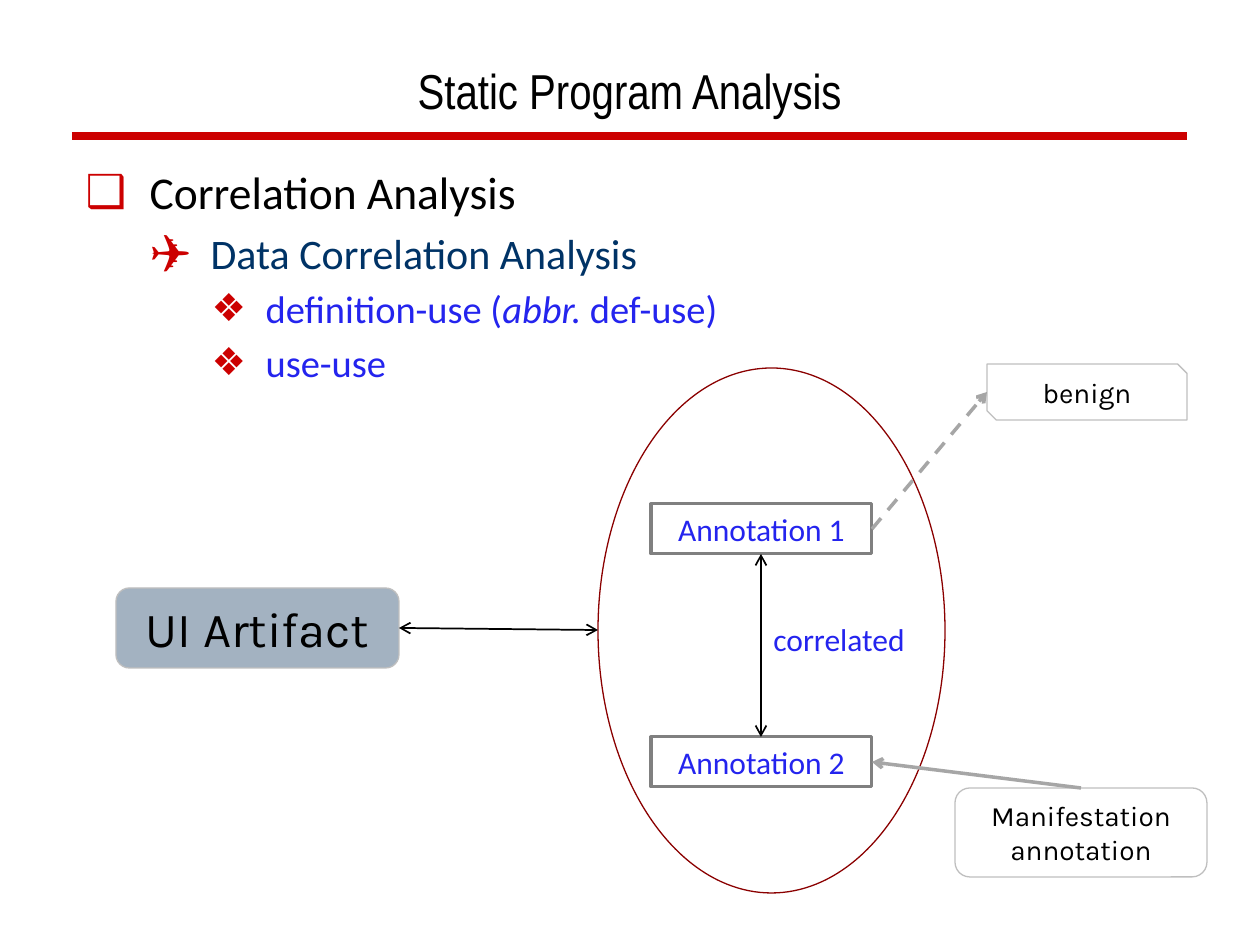
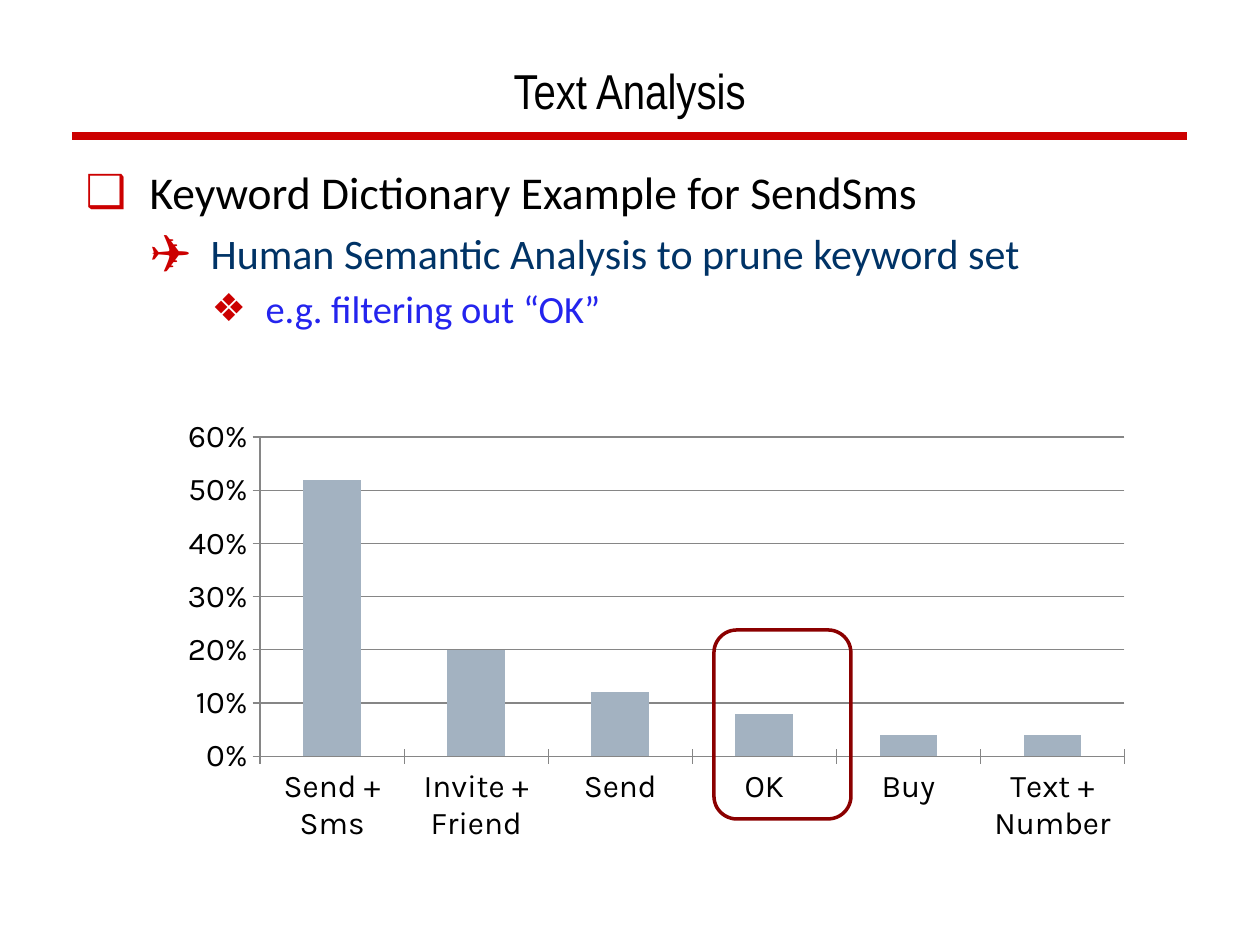
from dataclasses import dataclass

from lxml.etree import SubElement
from pptx import Presentation
from pptx.chart.data import CategoryChartData
from pptx.dml.color import RGBColor
from pptx.enum.chart import XL_CHART_TYPE, XL_TICK_MARK
from pptx.enum.dml import MSO_LINE
from pptx.enum.shapes import MSO_CONNECTOR, MSO_SHAPE
from pptx.enum.text import MSO_ANCHOR, MSO_AUTO_SIZE, PP_ALIGN
from pptx.oxml.ns import qn
from pptx.util import Emu, Pt

SCALE = 914400 / 126


@dataclass(frozen=True)
class Theme:
    """Colours, fonts, type sizes and list levels of the deck."""

    black: str = "000000"
    red: str = "CC0000"
    dark_red: str = "8B0000"
    blue: str = "2424EE"
    steel: str = "A3B2C1"
    border: str = "BFBFBF"
    frame: str = "808080"
    grey: str = "A6A6A6"
    grid: str = "868686"
    title_font: str = "Arial Narrow"
    body_font: str = "Calibri"
    label_font: str = "Karla"
    large: int = 28
    medium: int = 18
    small: int = 16
    tiny: int = 10
    levels: tuple = (
        ("\u2751", 64, 64, 26, "000000"),
        ("\u2708", 125, 60, 24, "003366"),
        ("\u2756", 180, 54, 22, "2424EE"),
    )


def px(length):
    """Turn whole pixels into EMU."""
    return Emu(round(length * SCALE))


def assign(target, values):
    """Set each named attribute of the target."""
    for name, value in values.items():
        setattr(target, name, value)


class SlideBuilder:
    """Holds the style and the current slide."""

    def __init__(self, deck, theme):
        """Keep the deck, its content layout and the theme."""
        self.deck = deck
        self.theme = theme
        self.layout = deck.slide_layouts[1]
        self.slide = None

    def start(self, title):
        """Add a slide and fill its title."""
        self.slide = self.deck.slides.add_slide(self.layout)
        holder = self.slide.shapes.title
        self.place(holder, 73, 21, 1113, 105)
        self.letter(holder.text_frame, title, self.theme.title_font,
                    self.theme.large, self.theme.black, anchor=MSO_ANCHOR.BOTTOM)
        holder.text_frame.auto_size = MSO_AUTO_SIZE.NONE

    def share_rule(self):
        """Draw the title rule and hand it to the layout."""
        rule = self.link((72, 136), (1187, 136), self.theme.red, 4.5)
        self.layout.shapes.element.append(rule.element)

    def place(self, shape, left, top, width, height):
        """Move and size a shape in pixels."""
        assign(shape, {"left": px(left), "top": px(top),
                       "width": px(width), "height": px(height)})

    def span(self, para, text, font, size, color, italic=None):
        """Add a formatted span to a paragraph."""
        span = para.add_run()
        span.text = text
        assign(span.font, {"name": font, "size": Pt(size), "italic": italic})
        span.font.color.rgb = RGBColor.from_string(color)

    def letter(self, frame, text, font, size, color,
               align=PP_ALIGN.CENTER, anchor=MSO_ANCHOR.MIDDLE):
        """Put one paragraph into a text frame."""
        assign(frame, {"word_wrap": True, "vertical_anchor": anchor,
                       "auto_size": MSO_AUTO_SIZE.SHAPE_TO_FIT_TEXT})
        para = frame.paragraphs[0]
        para.alignment = align
        self.span(para, text, font, size, color)

    def bullets(self, height, items):
        """Fill the body placeholder with levelled items."""
        holder = self.slide.placeholders[1]
        self.place(holder, 73, 158, 1113, height)
        frame = holder.text_frame
        frame.auto_size = MSO_AUTO_SIZE.NONE
        for index, (level, *pieces) in enumerate(items):
            para = frame.add_paragraph() if index else frame.paragraphs[0]
            para.level = level
            mark, margin, hang, size, color = self.theme.levels[level]
            for text, italic in pieces:
                self.span(para, text, self.theme.body_font, size, color, italic)
            properties = para._p.get_or_add_pPr()
            properties.set("marL", str(px(margin)))
            properties.set("indent", str(-px(hang)))
            paint = SubElement(properties, qn("a:buClr"))
            SubElement(paint, qn("a:srgbClr"), val=self.theme.red)
            SubElement(properties, qn("a:buChar"), char=mark)

    def box(self, kind, area, line, weight, fill=None):
        """Add a preset shape with an outline."""
        box = self.slide.shapes.add_shape(kind, *map(px, area))
        box.shadow.inherit = False
        if fill:
            box.fill.solid()
            box.fill.fore_color.rgb = RGBColor.from_string(fill)
        else:
            box.fill.background()
        box.line.color.rgb = RGBColor.from_string(line)
        box.line.width = Pt(weight)
        return box

    def label(self, kind, area, text, size, fill=None):
        """Add a light bordered shape with a centred label."""
        box = self.box(kind, area, self.theme.border, 0.75, fill)
        self.letter(box.text_frame, text, self.theme.label_font, size, self.theme.black)

    def annotation(self, top, text):
        """Add a framed annotation."""
        box = self.box(MSO_SHAPE.RECTANGLE, (651, top, 221, 50), self.theme.frame, 1.75)
        self.letter(box.text_frame, text, self.theme.body_font,
                    self.theme.medium, self.theme.blue, anchor=MSO_ANCHOR.TOP)

    def note(self, area, text):
        """Add a free text box."""
        box = self.slide.shapes.add_textbox(*map(px, area))
        self.letter(box.text_frame, text, self.theme.body_font,
                    self.theme.medium, self.theme.blue, PP_ALIGN.LEFT, MSO_ANCHOR.TOP)

    def link(self, start, end, color, weight, heads=(), dash=None):
        """Add a straight line with optional arrowheads."""
        line = self.slide.shapes.add_connector(
            MSO_CONNECTOR.STRAIGHT, *map(px, (*start, *end)))
        line.line.color.rgb = RGBColor.from_string(color)
        assign(line.line, {"width": Pt(weight), "dash_style": dash})
        properties = line.element.spPr
        for head in heads:
            SubElement(properties.get_or_add_ln(), qn(f"a:{head}"), type="arrow")
        SubElement(properties, qn("a:effectLst"))
        return line

    def columns(self, area, names, values):
        """Add a percentage column chart."""
        data = CategoryChartData(number_format="0%")
        data.categories = names
        data.add_series("Series 1", values)
        chart = self.slide.shapes.add_chart(
            XL_CHART_TYPE.COLUMN_CLUSTERED, *map(px, area), data).chart
        assign(chart, {"has_title": False, "has_legend": False})
        assign(chart.font, {"name": self.theme.label_font, "size": Pt(self.theme.tiny)})
        chart.font.color.rgb = RGBColor.from_string(self.theme.black)
        plot = chart.plots[0]
        assign(plot, {"vary_by_categories": False, "gap_width": 150})
        fill = plot.series[0].format.fill
        fill.solid()
        fill.fore_color.rgb = RGBColor.from_string(self.theme.steel)
        scale = chart.value_axis
        assign(scale, {"minimum_scale": 0, "maximum_scale": 0.6, "major_unit": 0.1,
                       "has_major_gridlines": True})
        assign(scale.tick_labels, {"number_format": "0%", "number_format_is_linked": False})
        for axis in (chart.category_axis, scale):
            axis.major_tick_mark = XL_TICK_MARK.CROSS
            axis.tick_labels.font.size = Pt(self.theme.medium)
        for part in (chart.category_axis, scale, scale.major_gridlines):
            part.format.line.color.rgb = RGBColor.from_string(self.theme.grid)
            part.format.line.width = Pt(0.75)


def correlation_slide(page, theme):
    """Build the correlation diagram."""
    page.start("Static Program Analysis")
    page.share_rule()
    page.bullets(262, [
        (0, ("Correlation Analysis", None)),
        (1, ("Data Correlation Analysis", None)),
        (2, ("definition-use (", None), ("abbr.", True), (" def-use)", None)),
        (2, ("use-use", None)),
    ])
    both, tail = ("headEnd", "tailEnd"), ("tailEnd",)
    page.label(MSO_SHAPE.ROUNDED_RECTANGLE, (116, 588, 283, 80), "UI Artifact",
               theme.large, theme.steel)
    page.annotation(504, "Annotation 1")
    page.annotation(737, "Annotation 2")
    page.link((761, 554), (761, 737), theme.black, 1, both)
    page.note((761, 614, 226, 50), "correlated")
    page.box(MSO_SHAPE.OVAL, (598, 368, 347, 525), theme.dark_red, 0.75)
    page.link((399, 628), (598, 630), theme.black, 1, both)
    page.label(MSO_SHAPE.ROUNDED_RECTANGLE, (955, 788, 252, 89),
               "Manifestation annotation", theme.small)
    page.link((1081, 788), (872, 762), theme.grey, 2, tail)
    page.label(MSO_SHAPE.SNIP_2_DIAG_RECTANGLE, (987, 364, 200, 56), "benign", theme.small)
    page.link((872, 529), (987, 392), theme.grey, 2, tail, MSO_LINE.DASH)


def keyword_slide(page, theme):
    """Build the keyword chart."""
    page.start("Text Analysis")
    page.bullets(210, [
        (0, ("Keyword Dictionary Example for SendSms", None)),
        (1, ("Human Semantic Analysis to prune keyword set", None)),
        (2, ("e.g. filtering out \u201cOK\u201d", None)),
    ])
    page.columns((168, 410, 976, 441),
                 ("Send + Sms", "Invite + Friend", "Send", "OK", "Buy", "Text + Number"),
                 (0.52, 0.2, 0.12, 0.08, 0.04, 0.04))
    page.box(MSO_SHAPE.ROUNDED_RECTANGLE, (714, 630, 137, 189), theme.dark_red, 2)


def main():
    """Build and save the deck."""
    deck = Presentation()
    assign(deck, {"slide_width": px(1260), "slide_height": px(945)})
    theme = Theme()
    page = SlideBuilder(deck, theme)
    correlation_slide(page, theme)
    keyword_slide(page, theme)
    deck.save("out.pptx")


main()
